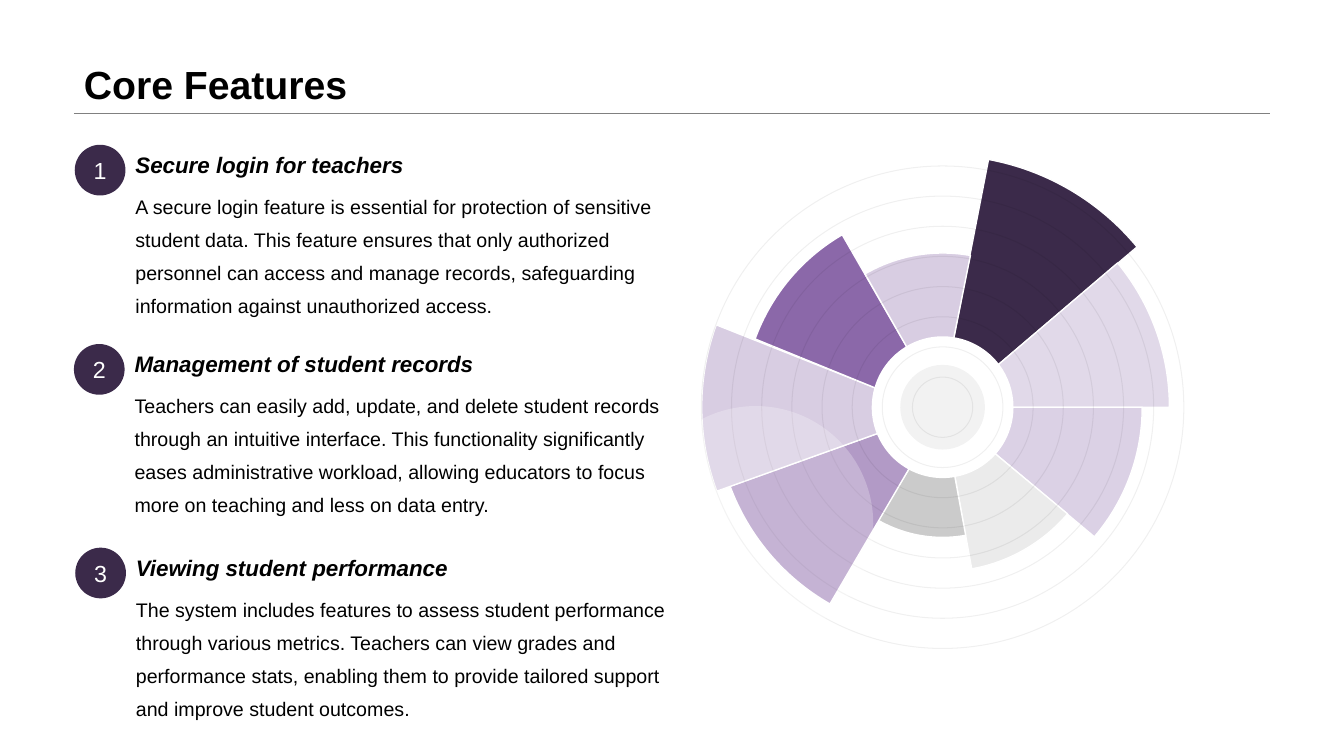
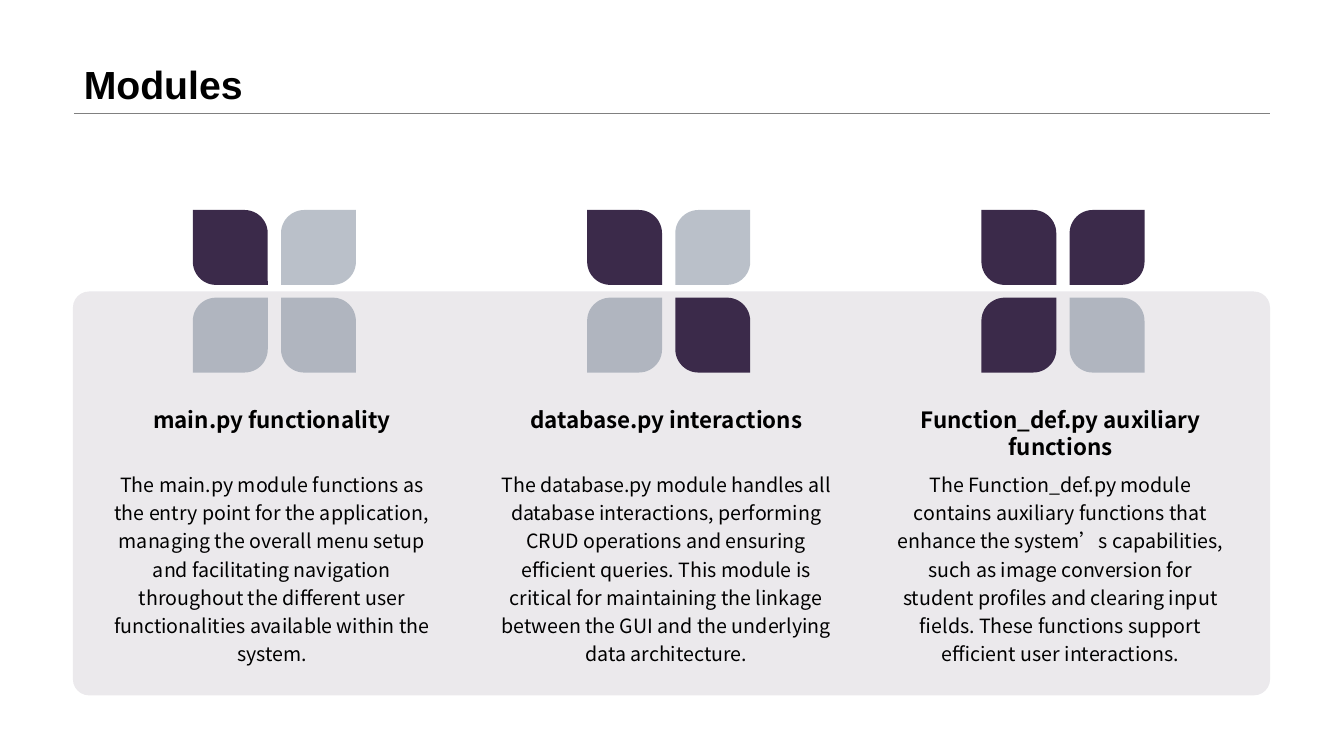
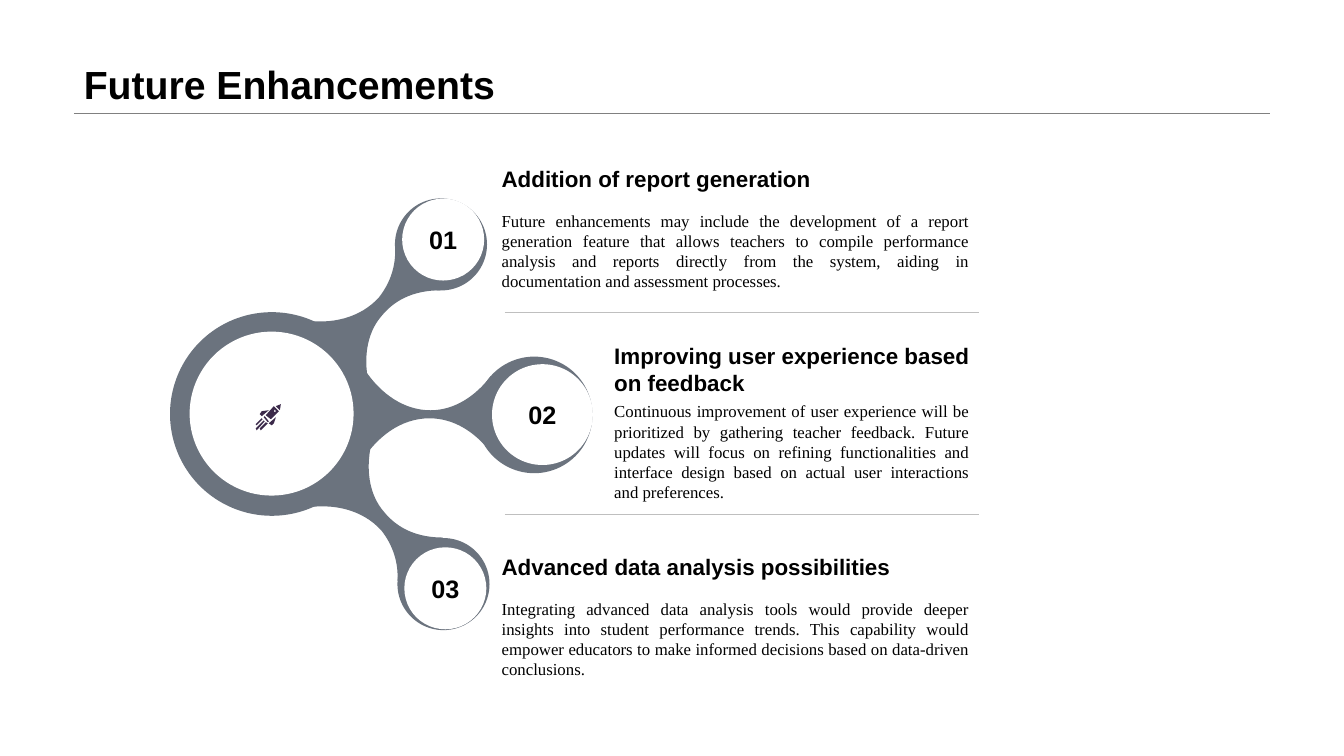
from dataclasses import dataclass
from itertools import pairwise
from math import cos, radians, sin, tan

from lxml.etree import SubElement
from pptx import Presentation
from pptx.dml.color import RGBColor
from pptx.enum.shapes import MSO_CONNECTOR, MSO_SHAPE
from pptx.enum.text import MSO_ANCHOR, MSO_AUTO_SIZE, PP_ALIGN
from pptx.oxml.ns import qn
from pptx.util import Emu, Pt


@dataclass(frozen=True)
class Theme:
    ink: str = "000000"
    paper: str = "FFFFFF"
    dark: str = "3B2A4A"
    violet: str = "8B68A9"
    mauve: str = "B29AC6"
    lilac: str = "D8CDE2"
    slate: str = "6B737E"
    petal: str = "768394"
    silver: str = "D9D9D9"
    grey: str = "BFBFBF"
    rule: str = "808080"
    sans: str = "Arial"
    serif: str = "Times New Roman"
    cjk: str = "Noto Sans CJK SC"
    title: float = 28
    number: float = 18
    badge: float = 16.6
    heading: float = 16
    body: float = 14
    small: float = 12


T = Theme()

# Square grid: 80 columns by 45 rows
COLS, ROWS, CELL = 80, 45, 152400
LEFT, RIGHT = 4.4, 75.6


def u(n):
    """Grid cells to EMU."""
    return Emu(round(n * CELL))


def rgb(c):
    return RGBColor.from_string(c)


# Element kinds
def set_alpha(parent, percent):
    for clr in parent.iter(qn("a:srgbClr")):
        SubElement(clr, qn("a:alpha")).set("val", str(percent * 1000))


def paint(s, fill=None, alpha=None, line=None, width=1, line_alpha=None):
    s.shadow.inherit = False
    spPr = s._element.spPr
    if fill:
        s.fill.solid()
        s.fill.fore_color.rgb = rgb(fill)
        if alpha:
            set_alpha(spPr.find(qn("a:solidFill")), alpha)
    else:
        s.fill.background()
    if line:
        s.line.color.rgb = rgb(line)
        s.line.width = Pt(width)
        if line_alpha:
            set_alpha(spPr.find(qn("a:ln")), line_alpha)
    else:
        s.line.fill.background()
    return s


def shape(sl, kind, x, y, w, h, **look):
    return paint(sl.shapes.add_shape(kind, u(x), u(y), u(w), u(h)), **look)


def circle(sl, cx, cy, r, **look):
    return shape(sl, MSO_SHAPE.OVAL, cx - r, cy - r, 2 * r, 2 * r, **look)


def spin(point, degrees):
    """Turn a point clockwise about the slide's corner."""
    (x, y), a = point, radians(degrees)
    return x * cos(a) - y * sin(a), x * sin(a) + y * cos(a)


def outline(sl, *contours, turn=0, **look):
    """A freeform; a contour is a start and segments of 1 (line) or 3 (curve) points."""
    fb = None
    for start, *segments in contours:
        points = [start] + [p for seg in segments for p in seg]
        first, *rest = [(x * 1000, y * 1000) for x, y in (spin(p, -turn) for p in points)]
        if fb is None:
            fb = sl.shapes.build_freeform(*first, scale=CELL / 1000)
        else:
            fb.move_to(*first)
        fb.add_line_segments(rest, close=True)
    s = fb.convert_to_shape()

    # Merge each triple of line points into a cubic curve
    steps = iter(list(s._element.iter(qn("a:lnTo"))))
    for _, *segments in contours:
        for seg in segments:
            head, *tail = [next(steps) for _ in seg]
            if tail:
                head.tag = qn("a:cubicBezTo")
            for step in tail:
                step.getparent().remove(step)
                head.append(step[0])

    if turn:
        cx, cy = spin((s.left + s.width / 2, s.top + s.height / 2), turn)
        s.left, s.top = Emu(round(cx - s.width / 2)), Emu(round(cy - s.height / 2))
        s.rotation = turn
    return paint(s, **look)


def polygon(points):
    return [points[0]] + [(p,) for p in points[1:]]


def curves(points):
    return [points[0]] + [points[i:i + 3] for i in range(1, len(points), 3)]


def rule(sl, x1, x2, y, color):
    s = sl.shapes.add_connector(MSO_CONNECTOR.STRAIGHT, u(x1), u(y), u(x2), u(y))
    s.line.color.rgb = rgb(color)
    s.line.width = Pt(0.25)
    SubElement(s._element.spPr, qn("a:effectLst"))


def write(s, text, size=T.body, font=T.sans, color=T.ink, bold=False, italic=False,
          align=PP_ALIGN.LEFT, anchor=MSO_ANCHOR.TOP, spacing=None, wrap=True, inset=None):
    tf = s.text_frame
    tf.word_wrap, tf.vertical_anchor = wrap, anchor
    if inset is not None:
        tf.margin_left = tf.margin_right = tf.margin_top = tf.margin_bottom = u(inset)
    p = tf.paragraphs[0]
    p.alignment = align
    if spacing:
        p.line_spacing = spacing
    r = p.add_run()
    r.text = text
    r.font.name, r.font.size = font, Pt(size)
    r.font.bold, r.font.italic = bold, italic
    r.font.color.rgb = rgb(color)
    SubElement(r._r.rPr, qn("a:ea")).set("typeface", font)


def label(sl, text, x, y, w, h, **fmt):
    s = sl.shapes.add_textbox(u(x), u(y), u(w), u(h))
    write(s, text, **fmt)
    s.text_frame.auto_size = MSO_AUTO_SIZE.SHAPE_TO_FIT_TEXT


def new_slide(prs, title):
    sl = prs.slides.add_slide(prs.slide_layouts[6])
    rule(sl, LEFT, RIGHT, 6.72, T.rule)
    label(sl, title, LEFT, 3.57, RIGHT - LEFT, 3.17, size=T.title, bold=True,
          anchor=MSO_ANCHOR.BOTTOM, spacing=0.9)
    return sl


# Core features: numbered list and radial wheel
FEATURES = [
    (4.45, 8.62, "Secure login for teachers",
     "A secure login feature is essential for protection of sensitive student data. This feature "
     "ensures that only authorized personnel can access and manage records, safeguarding "
     "information against unauthorized access."),
    (4.4, 20.48, "Management of student records",
     "Teachers can easily add, update, and delete student records through an intuitive interface. "
     "This functionality significantly eases administrative workload, allowing educators to focus "
     "more on teaching and less on data entry."),
    (4.48, 32.6, "Viewing student performance",
     "The system includes features to assess student performance through various metrics. Teachers "
     "can view grades and performance stats, enabling them to provide tailored support and improve "
     "student outcomes."),
]

# Outer radius, colour, opacity; clockwise from the dark sector
SECTORS = [
    (15, T.dark, None), (13.5, T.violet, 25), (11.88, T.violet, 30),
    (9.78, T.silver, 50), (7.75, T.grey, 80), (13.5, T.mauve, None),
    (14.34, T.lilac, None), (11.88, T.violet, None), (9.18, T.lilac, None),
]
# Sector borders in degrees from 12 o'clock, at the rim and at the hub
RIM = [10.5, 50.5, 90, 130.5, 169.8, 209.8, 249.6, 290, 329.8, 370.4]
HUB = [9.2, 52.6, 90, 131.5, 170, 208.6, 248, 286, 329.3, 369.2]


def arc(cx, cy, r, start, end):
    """Start point and cubic segments of a clockwise arc, split at the quarters."""
    def at(degrees, along=0):
        a = radians(degrees)
        return (cx + r * (sin(a) + along * cos(a)), cy - r * (cos(a) - along * sin(a)))

    stops = [start] + [q for q in (90, 180, 270, 360) if start < q < end] + [end]
    points = [at(start)]
    for a, b in pairwise(stops):
        pull = 4 / 3 * tan(radians(b - a) / 4)
        points += [at(a, pull), at(b, -pull), at(b)]
    return points


def wheel(sl, cx, cy):
    hub = 4.18
    for i, (r, color, alpha) in enumerate(SECTORS):
        outer = arc(cx, cy, r, RIM[i], RIM[i + 1])
        inner = arc(cx, cy, hub, HUB[i], HUB[i + 1])[::-1]
        sector = curves(outer) + [(inner[0],)] + curves(inner)[1:]
        outline(sl, sector, fill=color, alpha=alpha, line=T.paper)
    circle(sl, cx, cy, hub, fill=T.paper)
    circle(sl, cx, cy, 2.52, fill=T.ink, alpha=5)
    for k in range(1, 9):
        circle(sl, cx, cy, 1.795 * k, line=T.ink, width=0.75, line_alpha=5)
    circle(sl, 44.98, 31.17, 7, fill=T.paper, alpha=25)


def core_features(prs):
    sl = new_slide(prs, "Core Features")
    wheel(sl, 56.11, 24.24)
    for n, (x, y, head, body) in enumerate(FEATURES, 1):
        s = shape(sl, MSO_SHAPE.OVAL, x, y, 3.02, 3.02, fill=T.dark)
        write(s, str(n), size=T.badge, color=T.paper, align=PP_ALIGN.CENTER,
              anchor=MSO_ANCHOR.MIDDLE)
        label(sl, body, x + 3.02, y + 2.13, 33.12, 4.74, spacing=1.4)
        label(sl, head, x + 3.02, y - 0.25, 33.12, 2.34, size=T.heading, bold=True, italic=True,
              spacing=1.2)


# Modules: three columns with four-petal marks
# Petals read top left, top right, bottom left, bottom right; 1 is dark
MODULES = [
    ("1000", "main.py functionality",
     "The main.py module functions as the entry point for the application, managing the overall "
     "menu setup and facilitating navigation throughout the different user functionalities "
     "available within the system."),
    ("1001", "database.py interactions",
     "The database.py module handles all database interactions, performing CRUD operations and "
     "ensuring efficient queries. This module is critical for maintaining the linkage between the "
     "GUI and the underlying data architecture."),
    ("1110", "Function_def.py auxiliary functions",
     "The Function_def.py module contains auxiliary functions that enhance the system’s "
     "capabilities, such as image conversion for student profiles and clearing input fields. "
     "These functions support efficient user interactions."),
]


def petals(sl, x, y, pattern):
    for i, on in enumerate(pattern):
        row, col = divmod(i, 2)
        look = dict(fill=T.dark) if on == "1" else dict(fill=T.petal, alpha=50)
        s = shape(sl, MSO_SHAPE.ROUND_2_DIAG_RECTANGLE, x + 5.25 * col, y + 5.22 * row,
                  4.46, 4.46, **look)
        corners = (0, 0.31) if row == col else (0.31, 0)
        s.adjustments[0], s.adjustments[1] = corners


def modules(prs):
    sl = new_slide(prs, "Modules")
    panel = shape(sl, MSO_SHAPE.ROUNDED_RECTANGLE, 4.34, 17.35, 71.26, 24.04,
                  fill=T.dark, alpha=10)
    panel.adjustments[0] = 0.04
    for i, (pattern, head, body) in enumerate(MODULES):
        x = 5.72 + 23.47 * i
        petals(sl, x + 5.76, 12.5, pattern)
        label(sl, head, x, 23.88, 20.94, 2.22, size=T.heading, font=T.cjk, bold=True,
              align=PP_ALIGN.CENTER)
        label(sl, body, x, 27.57, 20.94, 4.32, font=T.cjk, align=PP_ALIGN.CENTER, spacing=1.2)


# Future enhancements: hub with three arms
UPPER_ARM = [
    (23.52, 14.7), (24.24, 14.94), (24.9, 15.36), (25.44, 15.96),
    (25.74, 16.32), (26.04, 16.8), (26.22, 17.28),
    (24.78, 17.28), (23.58, 17.76), (22.74, 18.78),
    (21.78, 19.86), (21.6, 21.48), (22.02, 23.1),
    (20.88, 23.1), (19.68, 22.62), (18.9, 21.72),
    (18.18, 20.94), (17.88, 19.98), (17.82, 19.02),
    (19.74, 19.38), (21.48, 18.9), (22.56, 17.7),
    (23.22, 16.86), (23.58, 15.84), (23.52, 14.7),
]
LOWER_ARM = [(x + 0.14, 49.28 - y) for x, y in UPPER_ARM]
MIDDLE_ARM = [
    (21.72, 22.02), (22.68, 23.46), (24.06, 24.42), (25.62, 24.42),
    (27, 24.42), (28.26, 23.64), (29.22, 22.38),
    (30.06, 23.82), (30.06, 25.56), (29.28, 27),
    (28.26, 25.68), (27, 24.9), (25.56, 24.9),
    (23.88, 24.9), (22.38, 25.98), (21.36, 27.72),
    (20.16, 25.98), (20.34, 23.64), (21.72, 22.02),
]
ARM_TURN = 41.4

# Rocket parts on a 25 by 26 raster
ROCKET = [
    [(10, 18), (12, 19), (5, 26), (4, 24)],
    [(8, 16), (9, 17), (1, 26), (0, 24)],
    [(6, 14), (7, 15), (1, 21), (0, 20)],
    [(20, 13), (18, 19), (16, 21), (13, 19)],
    [(9, 12), (13, 17), (12, 18), (8, 13)],
    [(13, 6), (6, 12), (4, 10), (6, 7)],
    [(19, 5), (18, 7), (19, 8), (20, 7)],
    [(18, 2), (23, 7), (15, 15), (10, 11)],
    [(25, 0), (24, 6), (20, 2)],
]

# Outer circle and inner disc, each as centre x, centre y, radius
NODES = [
    ((26.25, 14.55, 2.74), (26.38, 14.26, 2.44)),
    ((31.8, 24.7, 3.47), (32.29, 24.68, 3)),
    ((26.4, 34.77, 2.74), (26.51, 35.02, 2.44)),
]

# Left, heading top, heading height, body top, heading, body
ENHANCEMENTS = [
    (29.27, 9.54, 2.22, 12.24, "Addition of report generation",
     "Future enhancements may include the development of a report generation feature that allows "
     "teachers to compile performance analysis and reports directly from the system, aiding in "
     "documentation and assessment processes."),
    (35.97, 20.07, 3.84, 23.58, "Improving user experience based on feedback",
     "Continuous improvement of user experience will be prioritized by gathering teacher feedback. "
     "Future updates will focus on refining functionalities and interface design based on actual "
     "user interactions and preferences."),
    (29.27, 32.64, 2.22, 35.34, "Advanced data analysis possibilities",
     "Integrating advanced data analysis tools would provide deeper insights into student "
     "performance trends. This capability would empower educators to make informed decisions "
     "based on data-driven conclusions."),
]


def hub_and_nodes(sl):
    circle(sl, 16.18, 24.64, 6.06, fill=T.slate)
    for arm, turn in ((UPPER_ARM, 360 - ARM_TURN), (LOWER_ARM, ARM_TURN),
                      (MIDDLE_ARM, 360 - ARM_TURN)):
        outline(sl, curves(arm), turn=turn, fill=T.slate)
    circle(sl, 16.17, 24.62, 4.88, fill=T.paper)
    for n, (ring, disc) in enumerate(NODES, 1):
        circle(sl, *ring, fill=T.slate)
        write(circle(sl, *disc, fill=T.paper), f"{n:02}", size=T.number, bold=True,
              align=PP_ALIGN.CENTER, anchor=MSO_ANCHOR.MIDDLE, wrap=False, inset=0)
    rocket = [polygon([(15.22 + 0.06 * x, 24.06 + 0.06 * y) for x, y in part])
              for part in ROCKET]
    outline(sl, *rocket, fill=T.dark)


def future_enhancements(prs):
    sl = new_slide(prs, "Future Enhancements")
    hub_and_nodes(sl)
    edge = 58.3
    for x, head_y, head_h, body_y, head, body in ENHANCEMENTS:
        label(sl, body, x, body_y, edge - x, 5.46, size=T.small, font=T.serif,
              align=PP_ALIGN.JUSTIFY)
        label(sl, head, x, head_y, edge - x, head_h, size=T.heading, bold=True)
    for y in (18.6, 30.6):
        rule(sl, 30.06, edge, y, T.grey)


def main():
    prs = Presentation()
    prs.slide_width, prs.slide_height = u(COLS), u(ROWS)
    core_features(prs)
    modules(prs)
    future_enhancements(prs)
    prs.save("out.pptx")


if __name__ == "__main__":
    main()
